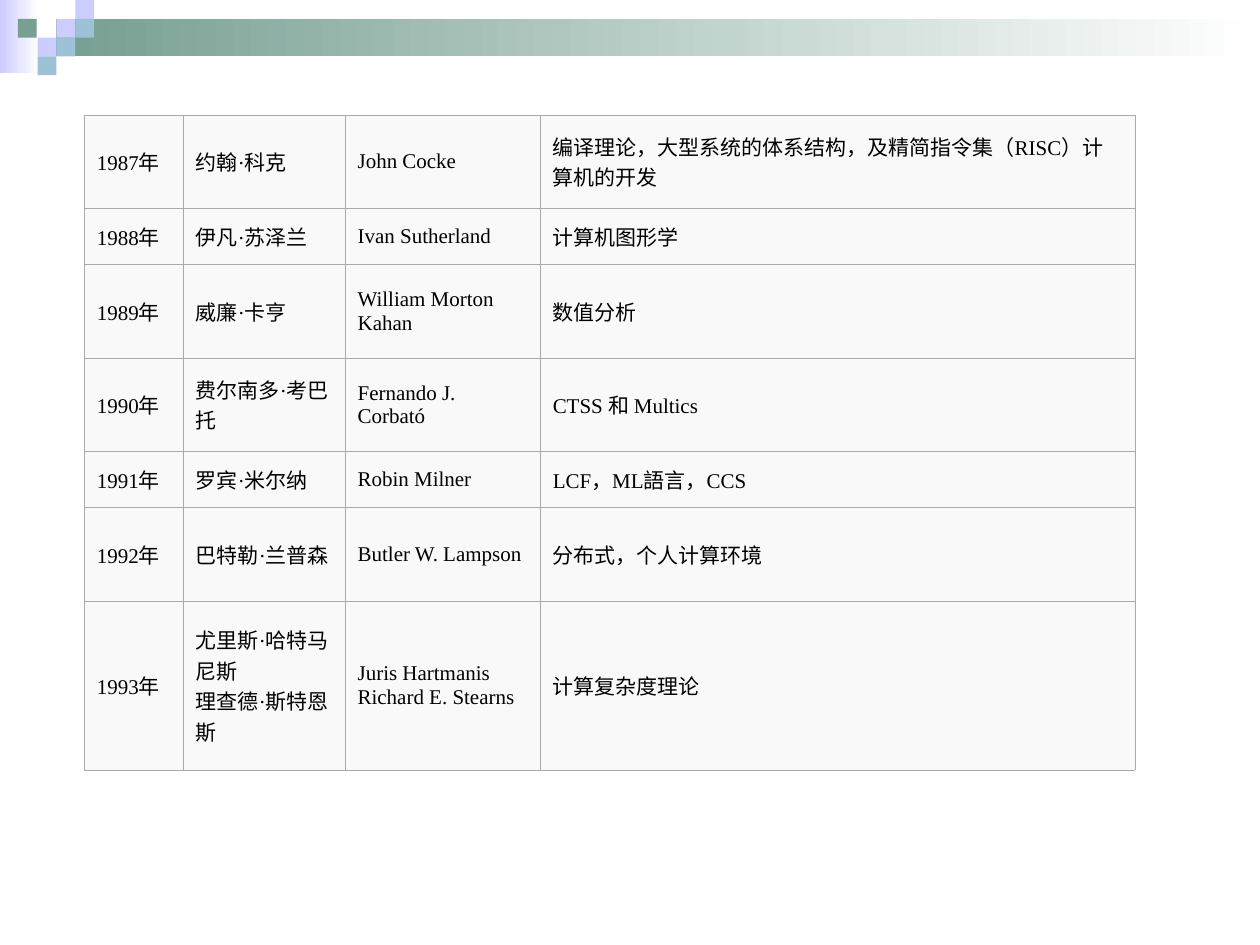
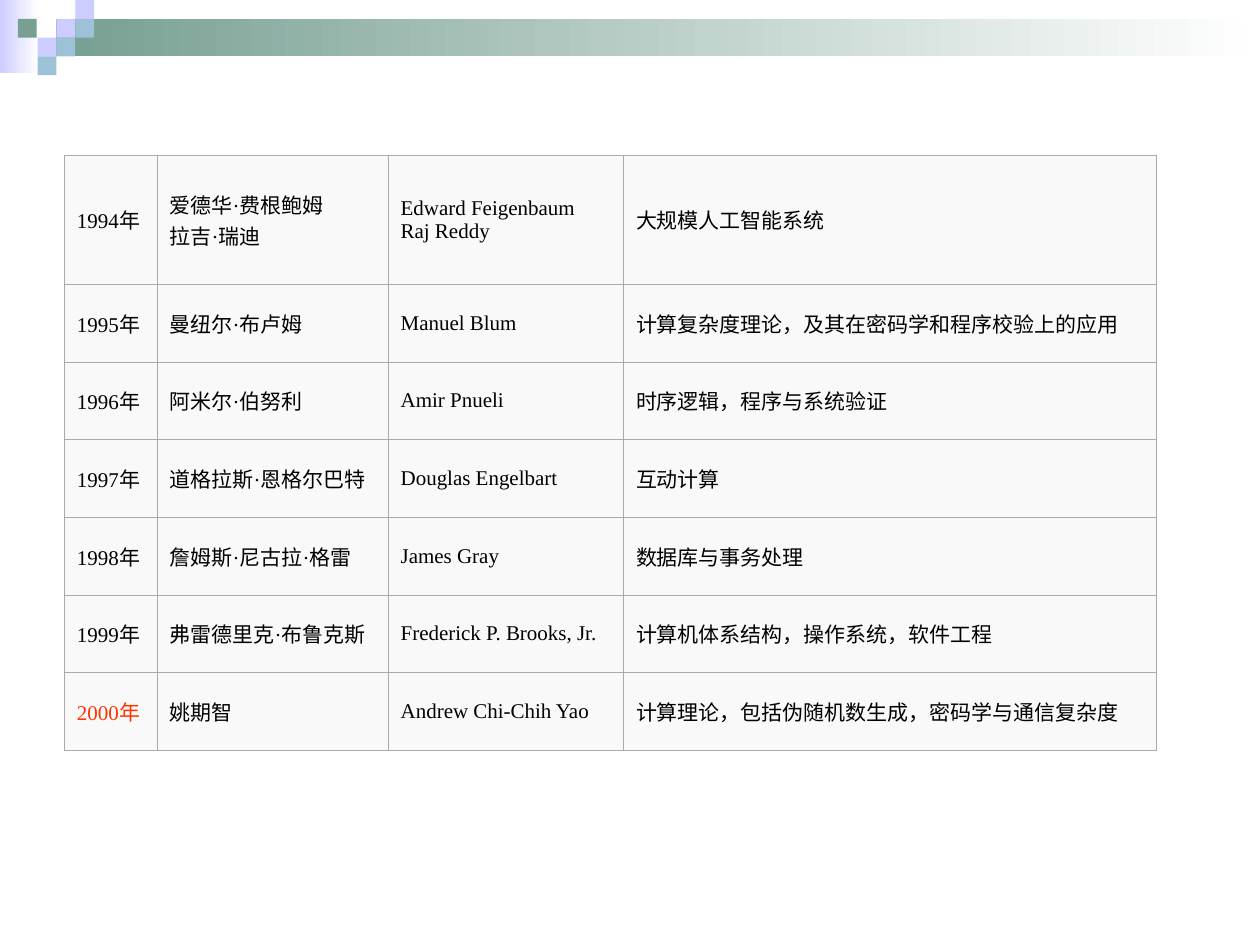
from lxml.etree import SubElement
from pptx import Presentation
from pptx.dml.color import RGBColor
from pptx.enum.lang import MSO_LANGUAGE_ID as Lang
from pptx.enum.shapes import MSO_SHAPE as Shape
from pptx.enum.text import MSO_ANCHOR as Anchor
from pptx.oxml.ns import qn
from pptx.util import Pt

SLIDE_W, SLIDE_H = 720, 540
GREEN, LILAC, BLUE = "779F92", "CCCCFF", "9DC2D7"
WHITE, BLACK, RED = "FFFFFF", "000000", "FF3300"
CELL_FILL, BORDER = "F9F9F9", "AAAAAA"
BORDER_WIDTH = 0.45
TEXT_STYLE = {"name": "Times New Roman", "size": Pt(12),
              "language_id": Lang.SIMPLIFIED_CHINESE}
CELL_STYLE = {"vertical_anchor": Anchor.MIDDLE,
              "margin_left": Pt(7.2), "margin_right": Pt(7.2),
              "margin_top": Pt(3.6), "margin_bottom": Pt(3.6)}

# Mosaic squares of the header: column, row, colour
SQUARE = 10.75
MOSAIC = [(3, 1, LILAC), (4, 0, LILAC), (4, 1, BLUE), (2, 2, LILAC),
          (0.95, 1, GREEN), (3, 2, BLUE), (2, 3, BLUE)]

LATE_80S_BOX = (48.2, 65.7)
LATE_80S_COLUMNS = [56.5, 92.5, 111.5, 340]
SHORT, TALL = 32.3, 53.3
LATE_80S_HEIGHTS = [TALL, SHORT, TALL, TALL, SHORT, TALL, 96.5]
LATE_80S_AWARDS = [
    ("1987年", "约翰·科克", "John Cocke",
     "编译理论，大型系统的体系结构，及精简指令集（RISC）计算机的开发"),
    ("1988年", "伊凡·苏泽兰", "Ivan Sutherland", "计算机图形学"),
    ("1989年", "威廉·卡亨", "William Morton Kahan", "数值分析"),
    ("1990年", "费尔南多·考巴托", "Fernando J. Corbató", "CTSS 和 Multics"),
    ("1991年", "罗宾·米尔纳", "Robin Milner", "LCF，ML語言，CCS"),
    ("1992年", "巴特勒·兰普森", "Butler W. Lampson", "分布式，个人计算环境"),
    ("1993年", "尤里斯·哈特马尼斯\n理查德·斯特恩斯",
     "Juris Hartmanis\nRichard E. Stearns", "计算复杂度理论"),
]

LATE_90S_BOX = (36.8, 88.6)
LATE_90S_COLUMNS = [53, 132, 134.5, 304.5]
LATE_90S_HEIGHTS = [73.8] + [44.4] * 6
LATE_90S_AWARDS = [
    ("1994年", "爱德华·费根鲍姆\n拉吉·瑞迪", "Edward Feigenbaum\nRaj Reddy",
     "大规模人工智能系统"),
    ("1995年", "曼纽尔·布卢姆", "Manuel Blum",
     "计算复杂度理论，及其在密码学和程序校验上的应用"),
    ("1996年", "阿米尔·伯努利", "Amir Pnueli", "时序逻辑，程序与系统验证"),
    ("1997年", "道格拉斯·恩格尔巴特", "Douglas Engelbart", "互动计算"),
    ("1998年", "詹姆斯·尼古拉·格雷", "James Gray", "数据库与事务处理"),
    ("1999年", "弗雷德里克·布鲁克斯", "Frederick P. Brooks, Jr.",
     "计算机体系结构，操作系统，软件工程"),
    ("2000年", "姚期智", "Andrew Chi-Chih Yao",
     "计算理论，包括伪随机数生成，密码学与通信复杂度"),
]
HIGHLIGHTED_YEAR = "2000年"


def rgb(hex_colour):
    return RGBColor.from_string(hex_colour)


def apply_style(target, style):
    for attribute, value in style.items():
        setattr(target, attribute, value)


def add_block(group, left, top, width, height, colour, fading=False):
    """Borderless rectangle, solid or fading to white on its right."""
    block = group.shapes.add_shape(Shape.RECTANGLE, Pt(left), Pt(top),
                                   Pt(width), Pt(height))
    block.shadow.inherit = False
    block.line.fill.background()
    if fading:
        block.fill.gradient()
        block.fill.gradient_angle = 180
        for stop, stop_colour in zip(block.fill.gradient_stops, (WHITE, colour)):
            stop.color.rgb = rgb(stop_colour)
    else:
        block.fill.solid()
        block.fill.fore_color.rgb = rgb(colour)


def add_header(slide, left, top, width):
    header = slide.shapes.add_group_shape()
    # Fading corner and band
    add_block(header, left, top, 22, 41.8, LILAC, fading=True)
    band_inset = 3 * SQUARE
    add_block(header, left + band_inset, top + SQUARE,
              width - band_inset, 2 * SQUARE, GREEN, fading=True)
    # Mosaic
    for column, row, colour in MOSAIC:
        add_block(header, left + column * SQUARE, top + row * SQUARE,
                  SQUARE, SQUARE, colour)


def add_borders(cell):
    properties = cell._tc.get_or_add_tcPr()
    for side in ("lnL", "lnR", "lnT", "lnB"):
        line = SubElement(properties, qn(f"a:{side}"), w=str(Pt(BORDER_WIDTH)))
        fill = SubElement(line, qn("a:solidFill"))
        SubElement(fill, qn("a:srgbClr"), val=BORDER)


def fill_cell(cell, text):
    apply_style(cell, CELL_STYLE)
    add_borders(cell)
    cell.fill.solid()
    cell.fill.fore_color.rgb = rgb(CELL_FILL)
    paragraph = cell.text_frame.paragraphs[0]
    paragraph.text = text
    for run in paragraph.runs:
        apply_style(run.font, TEXT_STYLE)
        run.font.color.rgb = rgb(RED if text == HIGHLIGHTED_YEAR else BLACK)
    # Line breaks take the text size too
    for line_break in paragraph._p.findall(qn("a:br")):
        SubElement(line_break, qn("a:rPr"), sz=str(TEXT_STYLE["size"].centipoints))


def add_awards_table(slide, left, top, columns, heights, awards):
    table = slide.shapes.add_table(len(awards), len(columns), Pt(left), Pt(top),
                                   Pt(sum(columns)), Pt(sum(heights))).table
    table.first_row = table.horz_banding = False
    for column, width in zip(table.columns, columns):
        column.width = Pt(width)
    for row, height, award in zip(table.rows, heights, awards):
        row.height = Pt(height)
        for cell, text in zip(row.cells, award):
            fill_cell(cell, text)


def add_awards_slide(deck, box, columns, heights, awards):
    slide = deck.slides.add_slide(deck.slide_layouts[6])
    add_header(slide, 0, 0, SLIDE_W)
    add_awards_table(slide, *box, columns, heights, awards)


def main():
    deck = Presentation()
    deck.slide_width, deck.slide_height = Pt(SLIDE_W), Pt(SLIDE_H)
    add_awards_slide(deck, LATE_80S_BOX, LATE_80S_COLUMNS,
                     LATE_80S_HEIGHTS, LATE_80S_AWARDS)
    add_awards_slide(deck, LATE_90S_BOX, LATE_90S_COLUMNS,
                     LATE_90S_HEIGHTS, LATE_90S_AWARDS)
    deck.save("out.pptx")


if __name__ == "__main__":
    main()
